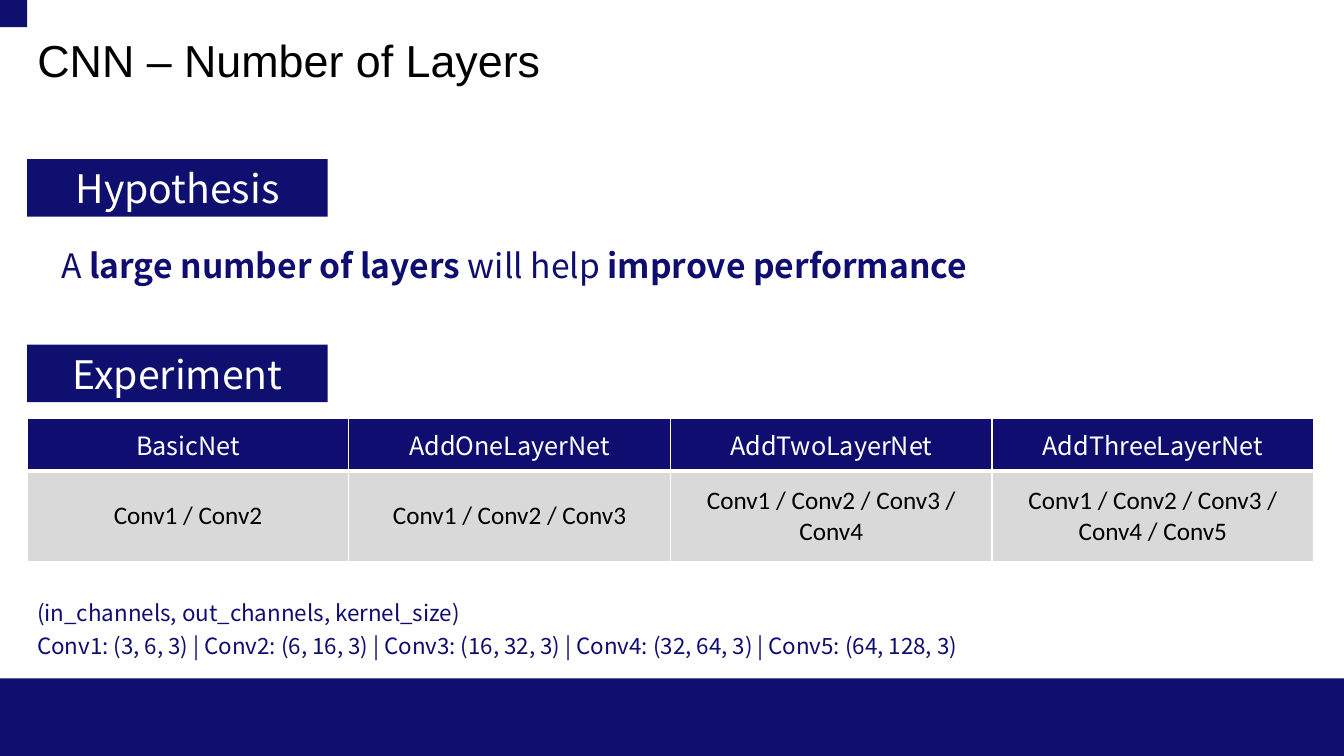
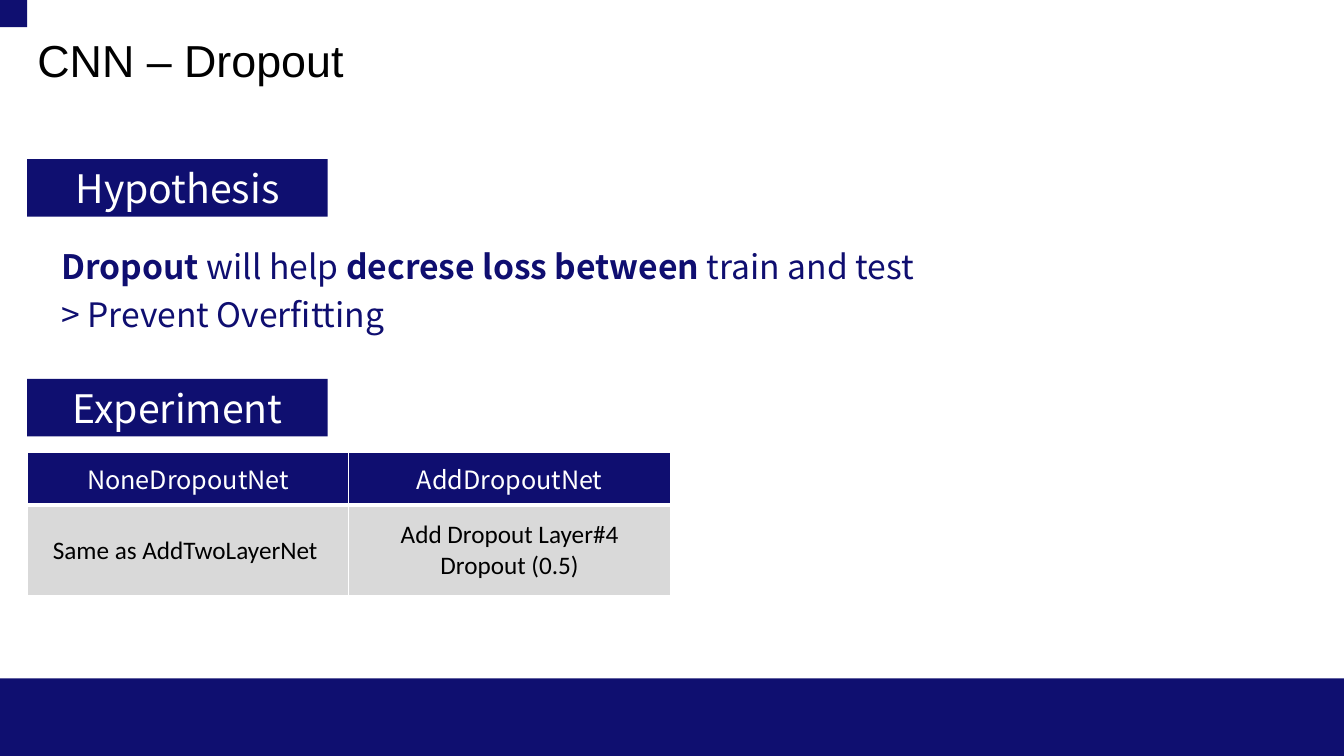
from dataclasses import dataclass

from lxml import etree
from pptx import Presentation
from pptx.dml.color import RGBColor
from pptx.enum.shapes import MSO_SHAPE
from pptx.enum.text import MSO_ANCHOR, MSO_AUTO_SIZE, PP_ALIGN
from pptx.oxml.ns import qn
from pptx.util import Inches, Pt

RECTANGLE = MSO_SHAPE.RECTANGLE
TOP, MIDDLE = MSO_ANCHOR.TOP, MSO_ANCHOR.MIDDLE
LEFT, CENTER = PP_ALIGN.LEFT, PP_ALIGN.CENTER
NO_AUTOFIT = MSO_AUTO_SIZE.NONE


@dataclass(frozen=True)
class Theme:
    band: RGBColor = RGBColor(0x0F, 0x0F, 0x70)
    navy: RGBColor = RGBColor(0x0F, 0x0E, 0x70)
    grey: RGBColor = RGBColor(0xD9, 0xD9, 0xD9)
    white: RGBColor = RGBColor(0xFF, 0xFF, 0xFF)
    black: RGBColor = RGBColor(0, 0, 0)
    title_font: str = "Arial"
    text_font: str = "Noto Sans CJK KR"
    cell_font: str = "Calibri"
    title_size: Pt = Pt(32)
    label_size: Pt = Pt(28)
    statement_size: Pt = Pt(24)
    table_size: Pt = Pt(18)
    note_size: Pt = Pt(16)


theme = Theme()
MARGIN = Inches(0.27)
COLUMN_WIDTH = Inches(3.19)
ROW_HEIGHTS = (Inches(0.52), Inches(0.9))
LINE_SPACING = 1.2

# Each statement line is a list of (text, bold) spans.
PAGES = [
    {
        "title": "CNN – Number of Layers",
        "statement": [
            [("A ", False), ("large number of layers", True),
             (" will help ", False), ("improve performance", True)],
        ],
        "statement_height": 0.56,
        "statement_anchor": MIDDLE,
        "experiment_top": 3.42,
        "table": [
            ["BasicNet", "AddOneLayerNet", "AddTwoLayerNet", "AddThreeLayerNet"],
            ["Conv1 / Conv2", "Conv1 / Conv2 / Conv3",
             "Conv1 / Conv2 / Conv3 / Conv4",
             "Conv1 / Conv2 / Conv3 / Conv4 / Conv5"],
        ],
        "note": "(in_channels, out_channels, kernel_size)\n"
                "Conv1: (3, 6, 3) | Conv2: (6, 16, 3) | Conv3: (16, 32, 3) | "
                "Conv4: (32, 64, 3) | Conv5: (64, 128, 3)",
    },
    {
        "title": "CNN – Dropout",
        "statement": [
            [("Dropout", True), (" will help ", False),
             ("decrese loss between ", True), ("train and test", False)],
            [("> Prevent Overfitting", False)],
        ],
        "statement_height": 1.04,
        "statement_anchor": TOP,
        "experiment_top": 3.76,
        "table": [
            ["NoneDropoutNet", "AddDropoutNet"],
            ["Same as AddTwoLayerNet ", "Add Dropout Layer#4\nDropout (0.5)"],
        ],
        "note": None,
    },
]


def format_runs(para, font_name, size, color):
    for span in para.runs:
        span.font.name = font_name
        span.font.size = size
        span.font.color.rgb = color


def add_border(cell, side, width):
    """Draw one white cell edge; side is lnL, lnR, lnT or lnB, in that order."""
    properties = cell._tc.get_or_add_tcPr()
    line = etree.SubElement(properties, qn(f"a:{side}"), w=str(width))
    fill = etree.SubElement(line, qn("a:solidFill"))
    etree.SubElement(fill, qn("a:srgbClr"), val=str(theme.white))


deck = Presentation()
deck.slide_width, deck.slide_height = Inches(13.33), Inches(7.5)
title_only = deck.slide_layouts[5]
layout_title = title_only.placeholders[0]
layout_title.left = layout_title.top = MARGIN
layout_title.width, layout_title.height = Inches(7.02), Inches(0.64)

for content in PAGES:
    page = deck.slides.add_slide(title_only)

    title_frame = page.shapes.title.text_frame
    title_frame.text = content["title"]
    title_frame.auto_size = NO_AUTOFIT
    title_frame.vertical_anchor = MIDDLE
    title_frame.paragraphs[0].alignment = LEFT
    format_runs(title_frame.paragraphs[0], theme.title_font,
                theme.title_size, theme.black)

    experiment_top = Inches(content["experiment_top"])
    label_size = Inches(2.98), Inches(0.57)
    blocks = [
        (0, Inches(6.73), deck.slide_width, Inches(0.77), ""),
        (0, 0, MARGIN, MARGIN, ""),
        (MARGIN, Inches(1.58), *label_size, "Hypothesis"),
        (MARGIN, experiment_top, *label_size, "Experiment"),
    ]
    for left, top, width, height, label in blocks:
        block = page.shapes.add_shape(RECTANGLE, left, top, width, height)
        block.shadow.inherit = False
        block.fill.solid()
        block.fill.fore_color.rgb = theme.band
        block.line.fill.background()
        if label:
            block.text_frame.text = label
            block.text_frame.vertical_anchor = MIDDLE
            para = block.text_frame.paragraphs[0]
            para.alignment = CENTER
            format_runs(para, theme.text_font, theme.label_size, theme.white)

    statement_box = page.shapes.add_textbox(
        Inches(0.51), Inches(2.31), Inches(9.27), Inches(content["statement_height"]))
    statement_frame = statement_box.text_frame
    statement_frame.word_wrap = True
    statement_frame.vertical_anchor = content["statement_anchor"]
    for index, spans in enumerate(content["statement"]):
        para = statement_frame.add_paragraph() if index else statement_frame.paragraphs[0]
        para.line_spacing = LINE_SPACING
        for text, bold in spans:
            span = para.add_run()
            span.text = text
            span.font.bold = bold
        format_runs(para, theme.text_font, theme.statement_size, theme.navy)

    rows = content["table"]
    column_count = len(rows[0])
    table = page.shapes.add_table(
        len(rows), column_count, MARGIN, experiment_top + Inches(0.73),
        COLUMN_WIDTH * column_count, sum(ROW_HEIGHTS)).table
    for column in table.columns:
        column.width = COLUMN_WIDTH
    for row_index, texts in enumerate(rows):
        table.rows[row_index].height = ROW_HEIGHTS[row_index]
        is_header = row_index == 0
        for column_index, text in enumerate(texts):
            cell = table.cell(row_index, column_index)
            cell.vertical_anchor = MIDDLE
            for side in ("lnL", "lnR", "lnT", "lnB"):
                is_divider = side == ("lnB" if is_header else "lnT")
                add_border(cell, side, Pt(3) if is_divider else Pt(1))
            cell.fill.solid()
            cell.fill.fore_color.rgb = theme.navy if is_header else theme.grey
            para = cell.text_frame.paragraphs[0]
            para.text = text
            para.alignment = CENTER
            para.font.bold = False
            format_runs(para, theme.text_font if is_header else theme.cell_font,
                        theme.table_size, theme.white if is_header else theme.black)
            for span in para.runs:
                span.font.bold = False

    if content["note"]:
        note_box = page.shapes.add_textbox(
            MARGIN, Inches(5.85), Inches(12.79), Inches(0.73))
        note_box.text_frame.word_wrap = True
        note_box.text_frame.vertical_anchor = MIDDLE
        para = note_box.text_frame.paragraphs[0]
        para.text = content["note"]
        para.line_spacing = LINE_SPACING
        format_runs(para, theme.text_font, theme.note_size, theme.navy)

deck.save("out.pptx")
